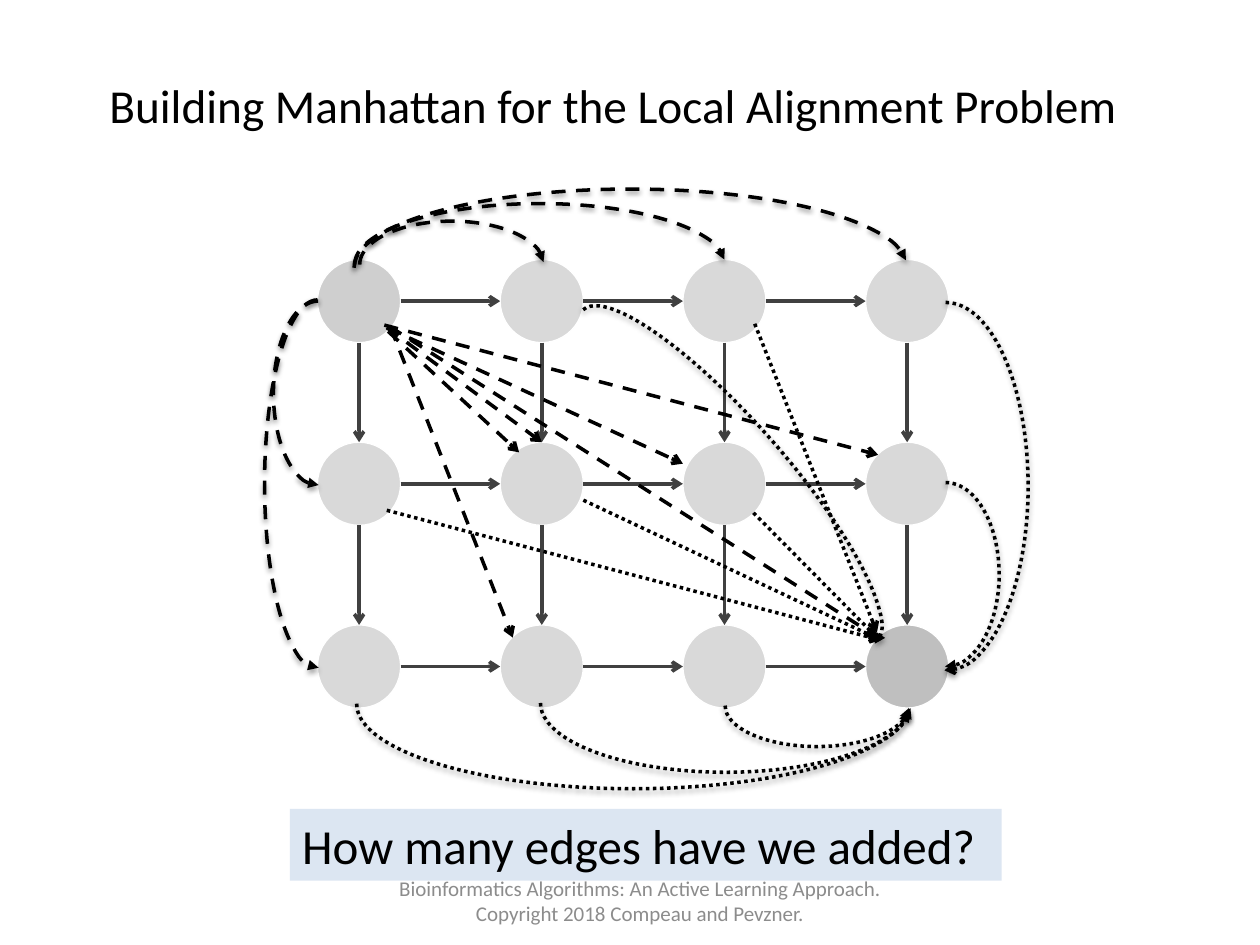
from typing import NamedTuple

from lxml.etree import SubElement
from pptx import Presentation
from pptx.dml.color import RGBColor
from pptx.enum.dml import MSO_LINE_DASH_STYLE as Dash
from pptx.enum.shapes import MSO_CONNECTOR, MSO_SHAPE
from pptx.enum.text import MSO_ANCHOR, PP_ALIGN
from pptx.oxml.ns import qn
from pptx.util import Inches, Pt

ROWS, COLUMNS = 3, 4
GRID_LEFT, GRID_TOP = 2.52, 2.06
NODE_SIZE, NODE_STEP = 0.66, 1.45
RADIUS = NODE_SIZE / 2


class Edge(NamedTuple):
    start: tuple[float, float]
    end: tuple[float, float]
    dash: Dash = Dash.SOLID
    color: str = "000000"


class Arc(NamedTuple):
    left: float
    top: float
    width: float
    height: float
    dash: Dash
    rotation: float = 0
    flip: bool = False
    end_angle: float = 54.21
    head: str = "triangle"


SOURCE_EDGES = [
    Edge(start, end, Dash.DASH)
    for start, end in [
        ((3.05, 2.58), (6.97, 3.61)),
        ((3.07, 2.6), (5.42, 3.68)),
        ((3.07, 2.6), (4.3, 3.51)),
        ((3.1, 2.6), (4.07, 5.06)),
        ((3.08, 2.63), (4.12, 3.59)),
        ((3.09, 2.59), (6.97, 5.06)),
    ]
]
SINK_EDGES = [
    Edge(start, end, Dash.ROUND_DOT)
    for start, end in [
        ((3.07, 4.05), (6.99, 5.08)),
        ((4.63, 3.97), (6.99, 5.08)),
        ((5.98, 4.07), (6.96, 5.06)),
        ((5.99, 2.57), (6.96, 5.02)),
    ]
]
SOURCE_ARCS = [
    Arc(3.24, 1.37, 0.69, 1.46, Dash.DASH, 270, end_angle=53.06),
    Arc(3.8, 0.63, 0.97, 2.94, Dash.DASH, 270, end_angle=53.06),
    Arc(4.38, -0.07, 1.25, 4.39, Dash.DASH, 270, end_angle=53.06),
    Arc(2.17, 2.39, 0.71, 1.46, Dash.DASH, flip=True),
    Arc(2.1, 2.38, 0.84, 2.92, Dash.DASH, flip=True),
]
SINK_ARCS = [
    Arc(6.16, 4.87, 0.65, 1.46, Dash.ROUND_DOT, 270, True, 53.06),
    Arc(5.21, 4.11, 1.1, 2.94, Dash.ROUND_DOT, 270, True, 53.06),
    Arc(4.35, 3.39, 1.35, 4.39, Dash.ROUND_DOT, 270, True, 53.06),
    Arc(7.08, 3.83, 0.85, 1.46, Dash.ROUND_DOT),
    Arc(6.85, 2.4, 1.31, 2.92, Dash.ROUND_DOT, head="arrow"),
    Arc(5.35, 2.02, 0.88, 3.52, Dash.ROUND_DOT, 318.7),
]


def rgb(color: str) -> RGBColor:
    return RGBColor.from_string(color)


def style_line(shape, color: str, dash: Dash, head: str) -> None:
    line = shape.line
    line.color.rgb = rgb(color)
    line.width = Pt(2)
    if dash != Dash.SOLID:
        line.dash_style = dash
    SubElement(line._get_or_add_ln(), qn("a:tailEnd"), type=head)


def node_center(row: int, column: int) -> tuple[float, float]:
    return (GRID_LEFT + RADIUS + column * NODE_STEP,
            GRID_TOP + RADIUS + row * NODE_STEP)


def add_node(slide, row: int, column: int) -> None:
    x, y = node_center(row, column)
    node = slide.shapes.add_shape(
        MSO_SHAPE.OVAL, Inches(x - RADIUS), Inches(y - RADIUS),
        Inches(NODE_SIZE), Inches(NODE_SIZE))
    node.shadow.inherit = False
    is_source = (row, column) == (0, 0)
    is_sink = (row, column) == (ROWS - 1, COLUMNS - 1)
    node.fill.solid()
    node.fill.fore_color.rgb = rgb("BFBFBF" if is_source or is_sink else "D9D9D9")
    if is_source:
        color = node.element.spPr.find(f"{qn('a:solidFill')}/{qn('a:srgbClr')}")
        SubElement(color, qn("a:alpha"), val="75000")
    node.line.color.rgb = rgb("FFFFFF")
    node.line.width = Pt(0.75)


def add_edge(slide, edge: Edge) -> None:
    points = [Inches(value) for value in (*edge.start, *edge.end)]
    connector = slide.shapes.add_connector(MSO_CONNECTOR.STRAIGHT, *points)
    style_line(connector, edge.color, edge.dash, "arrow")
    SubElement(connector.element.spPr, qn("a:effectLst"))


def grid_edges() -> list[Edge]:
    """Edges to the right and downward between neighbouring nodes."""
    edges = []
    for row in range(ROWS):
        for column in range(COLUMNS):
            x, y = node_center(row, column)
            reach = NODE_STEP - RADIUS
            if column < COLUMNS - 1:
                edges.append(Edge((x + RADIUS, y), (x + reach, y), color="404040"))
            if row < ROWS - 1:
                edges.append(Edge((x, y + RADIUS), (x, y + reach), color="404040"))
    return edges


def add_arc(slide, arc: Arc) -> None:
    shape = slide.shapes.add_shape(
        MSO_SHAPE.ARC, Inches(arc.left), Inches(arc.top),
        Inches(arc.width), Inches(arc.height))
    shape.adjustments[0] = 162
    shape.adjustments[1] = arc.end_angle
    shape.rotation = arc.rotation
    if arc.flip:
        shape.element.spPr.find(qn("a:xfrm")).set("flipH", "1")
    shape.fill.background()
    style_line(shape, "000000", arc.dash, arc.head)
    shape.shadow.inherit = False
    effects = shape.element.spPr.find(qn("a:effectLst"))
    shadow = SubElement(effects, qn("a:outerShdw"), blurRad=str(Pt(3.1)),
                        dist=str(Pt(1.6)), dir="5400000", rotWithShape="0")
    color = SubElement(shadow, qn("a:srgbClr"), val="000000")
    SubElement(color, qn("a:alpha"), val="38000")


def place(shape, left: float, top: float, width: float, height: float) -> None:
    shape.left, shape.top = Inches(left), Inches(top)
    shape.width, shape.height = Inches(width), Inches(height)


def set_text(shape, text: str, size: float, color: str, align: PP_ALIGN) -> None:
    frame = shape.text_frame
    frame.text = text
    frame.word_wrap = True
    frame.vertical_anchor = MSO_ANCHOR.MIDDLE
    paragraph = frame.paragraphs[0]
    paragraph.alignment = align
    font = paragraph.runs[0].font
    font.name, font.size = "Calibri", Pt(size)
    font.color.rgb = rgb(color)


def main() -> None:
    presentation = Presentation()
    presentation.slide_width, presentation.slide_height = Inches(10), Inches(7.5)
    slide = presentation.slides.add_slide(presentation.slide_layouts[5])

    title = slide.shapes.title
    place(title, 0.45, 0.58, 8.83, 0.5)
    set_text(title, "Building Manhattan for the Local Alignment Problem",
             27, "000000", PP_ALIGN.CENTER)

    for row in range(ROWS):
        for column in range(COLUMNS):
            add_node(slide, row, column)
    for edge in grid_edges() + SOURCE_EDGES:
        add_edge(slide, edge)
    for arc in SOURCE_ARCS:
        add_arc(slide, arc)
    for edge in SINK_EDGES:
        add_edge(slide, edge)
    for arc in SINK_ARCS:
        add_arc(slide, arc)

    question = slide.shapes.add_shape(
        MSO_SHAPE.RECTANGLE, Inches(2.3), Inches(6.42), Inches(5.65), Inches(0.57))
    question.shadow.inherit = False
    question.fill.solid()
    question.fill.fore_color.rgb = rgb("DCE6F2")
    question.line.fill.background()
    set_text(question, "How many edges have we added?", 28, "000000", PP_ALIGN.LEFT)

    footer = slide.shapes.add_textbox(
        Inches(2.83), Inches(6.95), Inches(4.5), Inches(0.4))
    set_text(footer, "Bioinformatics Algorithms: An Active Learning Approach. "
             "Copyright 2018 Compeau and Pevzner.", 12, "8C8C8C", PP_ALIGN.CENTER)

    presentation.save("out.pptx")


if __name__ == "__main__":
    main()
